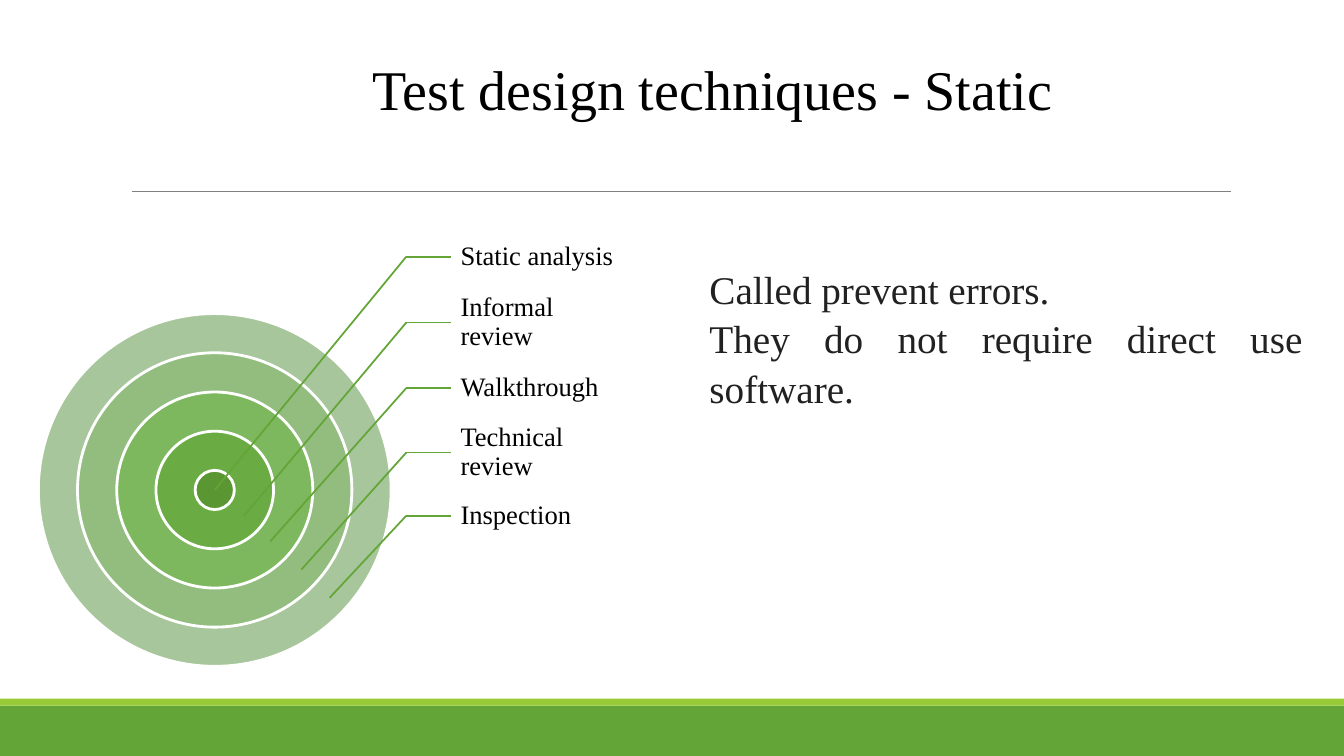
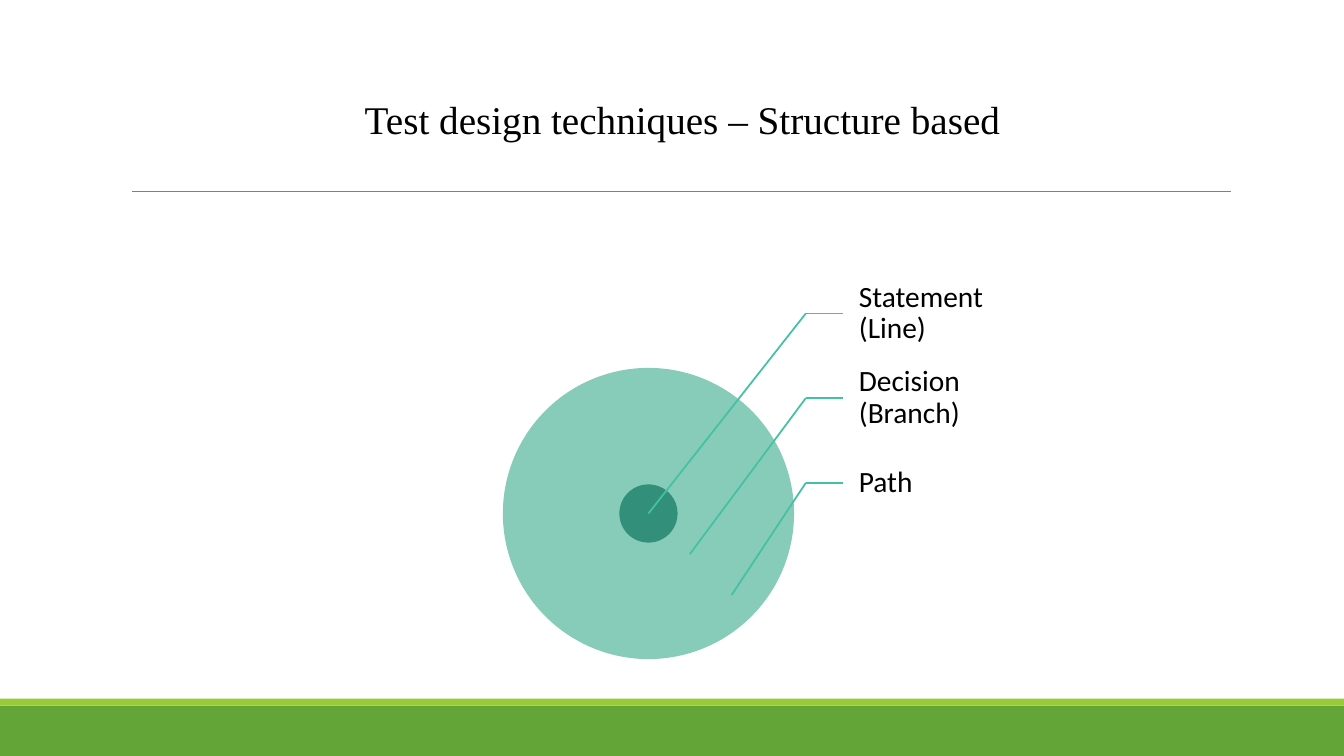
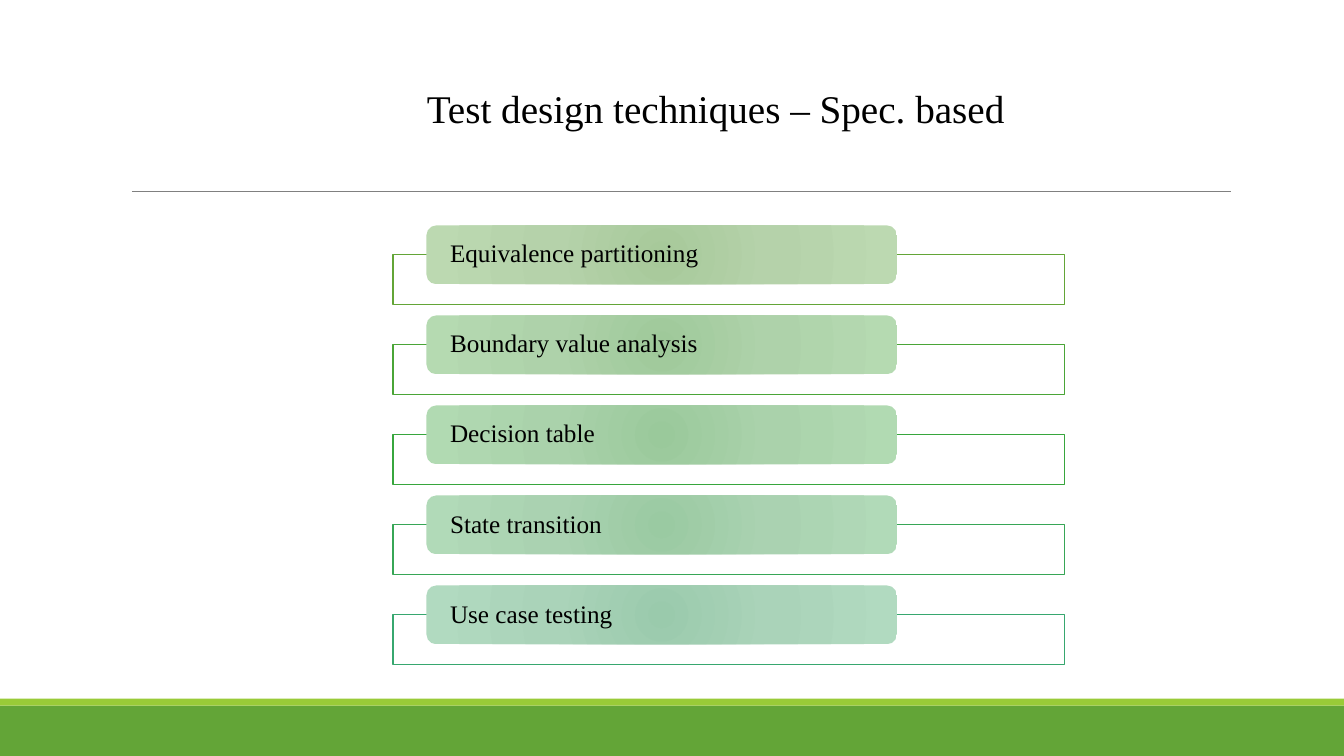
import pptx
import pptx.util
import pptx.dml.color
import pptx.enum.shapes
import pptx.enum.text
import pptx.oxml
import pptx.oxml.ns
import lxml.etree
from dataclasses import dataclass

Pt = pptx.util.Pt
SHAPE = pptx.enum.shapes.MSO_SHAPE
ALIGN = pptx.enum.text.PP_ALIGN
MIDDLE = pptx.enum.text.MSO_ANCHOR.MIDDLE


# Colours and type sizes
@dataclass(frozen=True)
class Theme:
    serif: str = "Times New Roman"
    sans: str = "Calibri"
    black: str = "000000"
    white: str = "FFFFFF"
    grey: str = "808080"
    body: str = "212121"
    green: str = "63A537"
    lime: str = "99CB38"
    teal: str = "44C1A3"
    big: int = 40
    head: int = 28
    text: int = 28
    label: int = 19
    wide: int = 21
    row: int = 18


T = Theme()

# Titles: text, size, box
TITLES = [
    ("Test design techniques - Static", T.big, (213.8, 32.4, 590.4, 67.7)),
    ("Test design techniques – Structure based", T.head, (223.2, 53.3, 528.5, 67.7)),
    ("Test design techniques – Spec. based", T.head, (218.9, 45.4, 584.6, 67.7)),
]

# Targets: rings run from outside in; labels hold text, height, tip of leader
STATIC = dict(
    mid=(153.4, 350), core=28, step=56, edge=T.white, line=T.green,
    rings=["A8C69C", "92BD7E", "7DB75E", "6AAC43", "5A9632"],
    bend=290.2, stop=321.8, box=(318.2, 133.6, 44.6), pad=10.8,
    font=T.serif, size=T.label,
    labels=[
        ("Static analysis", 183.4, (153.4, 350)),
        ("Informal review", 230.4, (174.2, 368.6)),
        ("Walkthrough", 277.2, (193, 386.8)),
        ("Technical review", 323.3, (215.3, 406.8)),
        ("Inspection", 368.4, (235.5, 427)),
    ],
)
STRUCT = dict(
    mid=(463.2, 366.8), core=41.6, step=83.2, edge=None, line=T.teal,
    rings=["87CCB8", "87CCB8", "328F79"],
    bend=575.6, stop=602, box=(602, 104.4, 60.5), pad=11.5,
    font=T.sans, size=T.wide,
    labels=[
        ("Statement (Line)", 223.9, (463.2, 366.8)),
        ("Decision (Branch)", 284.4, (492.8, 395.8)),
        ("Path", 344.9, (522.6, 425)),
    ],
)

NOTES = ["Called prevent errors.", "They do not require direct use software."]

# Rows: text, frame colour, gradient from centre to rim
ROWS = [
    ("Equivalence partitioning", "63A537", ("A7C99A", "B5D2AA", "BCD9B1")),
    ("Boundary value analysis", "4AA537", ("9FC99A", "AED2AA", "B5DAB1")),
    ("Decision table", "37A63D", ("9AC99B", "AAD2AB", "B1DAB2")),
    ("State transition", "37A656", ("9ACAA2", "AAD2B1", "B1DAB8")),
    ("Use case testing", "37A76F", ("9ACAAC", "AAD3B9", "B1DAC0")),
]
STOPS = (0, 45, 100)
PITCH = 64.3


# Drawing helpers
def rgb(tone):
    return pptx.dml.color.RGBColor.from_string(tone)


def place(box):
    return [Pt(v) for v in box]


def block(slide, kind, box, fill, edge=None, width=1):
    shape = slide.shapes.add_shape(kind, *place(box))
    shape.shadow.inherit = False
    shape.fill.solid()
    shape.fill.fore_color.rgb = rgb(fill)
    if edge:
        shape.line.color.rgb = rgb(edge)
        shape.line.width = Pt(width)
    else:
        shape.line.fill.background()
    return shape


def stroke(slide, start, end, tone, width):
    kind = pptx.enum.shapes.MSO_CONNECTOR.STRAIGHT
    line = slide.shapes.add_connector(kind, *place(start + end))
    line.line.color.rgb = rgb(tone)
    line.line.width = Pt(width)
    props = line.element.spPr
    lxml.etree.SubElement(props, pptx.oxml.ns.qn("a:effectLst"))
    return line


def write(shape, lines, font, size, tone, align=ALIGN.LEFT, space=0.9,
          pads=(7.2, 3.6, 7.2, 3.6), anchor=MIDDLE):
    frame = shape.text_frame
    frame.word_wrap = True
    frame.auto_size = pptx.enum.text.MSO_AUTO_SIZE.NONE
    frame.vertical_anchor = anchor
    (frame.margin_left, frame.margin_top,
     frame.margin_right, frame.margin_bottom) = place(pads)
    frame.text = "\n".join(lines)
    for para in frame.paragraphs:
        para.alignment = align
        para.line_spacing = space
        para.font.name = font
        para.font.size = Pt(size)
        para.font.color.rgb = rgb(tone)


def blend(shape, tones):
    """Fill a shape with a circular gradient."""
    stops = "".join(
        f'<a:gs pos="{pos * 1000}"><a:srgbClr val="{tone}"/></a:gs>'
        for pos, tone in zip(STOPS, tones))
    grad = pptx.oxml.parse_xml(
        f'<a:gradFill {pptx.oxml.ns.nsdecls("a")} rotWithShape="1">'
        f'<a:gsLst>{stops}</a:gsLst><a:path path="circle">'
        '<a:fillToRect l="100000" t="100000" r="100000" b="100000"/>'
        '</a:path></a:gradFill>')
    props = shape.element.spPr
    props.replace(props.find(pptx.oxml.ns.qn("a:solidFill")), grad)


def dress(layout, slide):
    """Draw the bands and the rule, then move them to the layout."""
    parts = [
        block(slide, SHAPE.RECTANGLE, (0, 504, 960, 36), T.green),
        block(slide, SHAPE.RECTANGLE, (0, 499, 960, 5), T.lime),
        stroke(slide, (94.3, 136.6), (879, 136.6), T.grey, 0.5),
    ]
    for i, part in enumerate(parts):
        part.element.xpath(".//p:cNvPr")[0].set("id", str(100 + i))
        layout.shapes.element.insert(2 + i, part.element)


def target(slide, plan):
    # Rings
    x, y = plan["mid"]
    count = len(plan["rings"])
    for i, tone in enumerate(plan["rings"]):
        size = plan["core"] + plan["step"] * (count - 1 - i)
        box = (x - size / 2, y - size / 2, size, size)
        block(slide, SHAPE.OVAL, box, tone, plan["edge"], 2)
    # Labels and their leaders
    left, width, high = plan["box"]
    for text, level, tip in plan["labels"]:
        label = slide.shapes.add_textbox(
            *place((left, level - high / 2, width, high)))
        write(label, [text], plan["font"], plan["size"], T.black,
              pads=(plan["pad"], 2.2, 2.2, 2.2))
        bend = (plan["bend"], level)
        arm = stroke(slide, bend, (plan["stop"], level), plan["line"], 1.25)
        if plan["stop"] == left:
            arm.end_connect(label, 1)
        stroke(slide, bend, tip, plan["line"], 1.25)


def notes(slide):
    box = slide.shapes.add_textbox(*place((499.7, 184.3, 437.8, 108.7)))
    write(box, NOTES, T.serif, T.text, T.body, ALIGN.JUSTIFY, 1.05,
          anchor=pptx.enum.text.MSO_ANCHOR.TOP)


def stack(slide):
    for i, (text, edge, tones) in enumerate(ROWS):
        top = 161 + i * PITCH
        block(slide, SHAPE.RECTANGLE, (280.6, top + 20.9, 480, 35.8),
              T.white, edge)
        pill = block(slide, SHAPE.ROUNDED_RECTANGLE,
                     (304.6, top, 336, 42), tones[0])
        blend(pill, tones)
        write(pill, [text], T.serif, T.row, T.black, pads=(14.8, 0, 14.8, 0))


def main():
    deck = pptx.Presentation()
    deck.slide_width, deck.slide_height = Pt(960), Pt(540)
    layout = deck.slide_layouts[5]
    slides = []
    for text, size, box in TITLES:
        slide = deck.slides.add_slide(layout)
        title = slide.shapes.title
        title.left, title.top, title.width, title.height = place(box)
        write(title, [text], T.serif, size, T.black, ALIGN.CENTER,
              pads=(7.2,) * 4)
        slides.append(slide)
    first, second, third = slides
    dress(layout, first)
    target(first, STATIC)
    notes(first)
    target(second, STRUCT)
    stack(third)
    deck.save("out.pptx")


if __name__ == "__main__":
    main()
